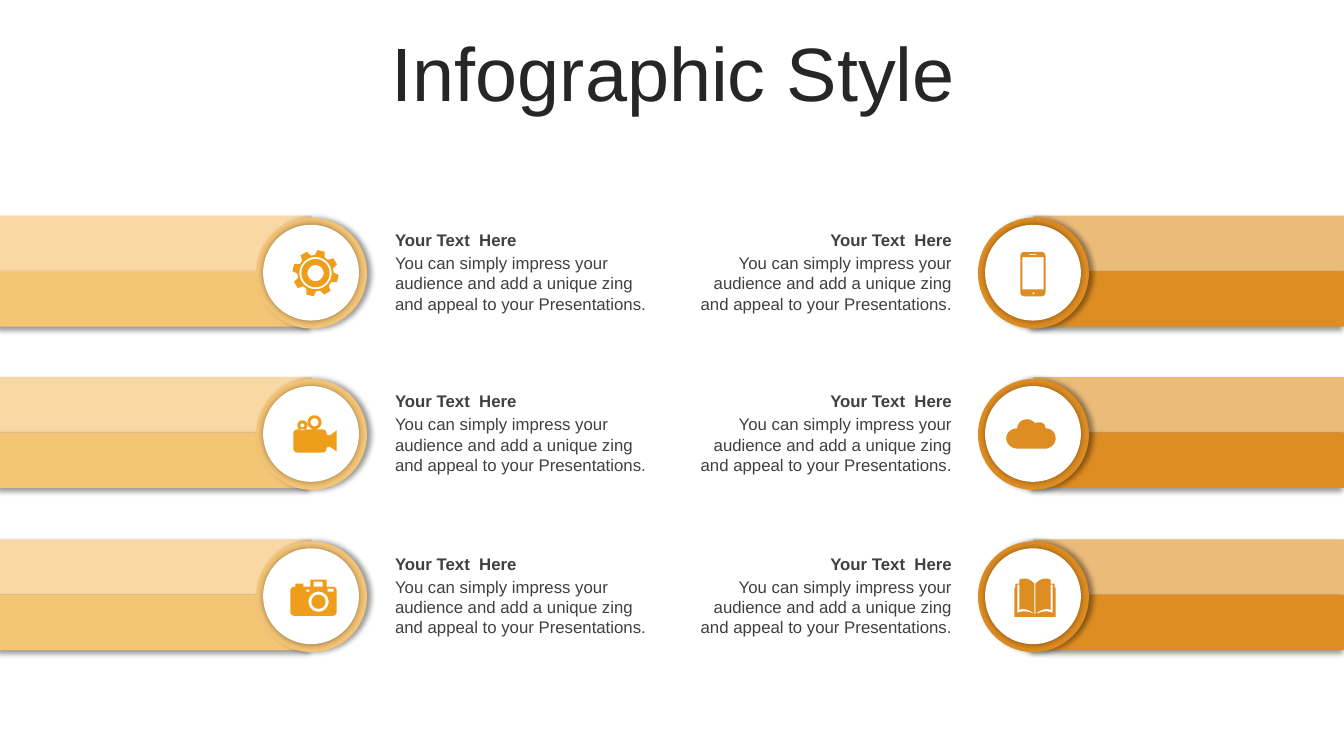
from dataclasses import dataclass
from math import cos, radians, sin

from lxml import etree
from pptx import Presentation
from pptx.dml.color import RGBColor
from pptx.enum.shapes import MSO_SHAPE
from pptx.enum.text import MSO_ANCHOR, MSO_AUTO_SIZE, PP_ALIGN
from pptx.oxml.ns import qn
from pptx.util import Inches, Pt

RECT, OVAL = MSO_SHAPE.RECTANGLE, MSO_SHAPE.OVAL
LEFT, CENTER, RIGHT = PP_ALIGN.LEFT, PP_ALIGN.CENTER, PP_ALIGN.RIGHT
FONT = "Arial"
HEADING = "Your Text  Here"
BODY = "You can simply impress your audience and add a unique zing and appeal to your Presentations."
ROW_TOPS = (2.14, 3.74, 5.35)

Point = tuple[float, float]
Contour = list[Point]


@dataclass
class Shadow:
    blur: float
    dist: float
    angle: int


@dataclass
class Side:
    bar_x: float
    ring_x: float
    text_x: float
    align: PP_ALIGN
    light: str
    dark: str
    icon_color: str
    icons: list[list[Contour]]


BAR_SHADOW = Shadow(4, 3, 135)
RING_SHADOW = Shadow(4, 3, 0)
DISC_SHADOW = Shadow(5, 0, 0)


def rgb(color: str) -> RGBColor:
    return RGBColor.from_string(color)


def polar(cx: float, cy: float, r: float, degrees: float) -> Point:
    return cx + r * cos(radians(degrees)), cy + r * sin(radians(degrees))


def circle(cx: float, cy: float, r: float) -> Contour:
    return [polar(cx, cy, r, a) for a in range(0, 360, 10)]


def box(x: float, y: float, w: float, h: float, r: float = 0) -> Contour:
    corners = ((x + w - r, y + h - r), (x + r, y + h - r), (x + r, y + r), (x + w - r, y + r))
    return [polar(cx, cy, r, 90 * i + a)
            for i, (cx, cy) in enumerate(corners)
            for a in (range(0, 91, 15) if r else (0,))]


def curve(*steps: tuple[float, ...]) -> Contour:
    """Two numbers make a line, six make a cubic curve."""
    pts: Contour = []
    for step in steps:
        if len(step) == 2:
            pts.append(step)
            continue
        x0, y0 = pts[-1]
        x1, y1, x2, y2, x3, y3 = step
        for t in (i / 8 for i in range(1, 9)):
            a, b, c, d = (1 - t) ** 3, 3 * t * (1 - t) ** 2, 3 * t * t * (1 - t), t ** 3
            pts.append((a * x0 + b * x1 + c * x2 + d * x3, a * y0 + b * y1 + c * y2 + d * y3))
    return pts


def gear(cx: float, cy: float) -> list[Contour]:
    teeth = [polar(cx, cy, r, 45 * i - 76 + a)
             for i in range(8)
             for r, a in ((0.18, -16), (0.23, -9), (0.23, 9), (0.18, 16))]
    return [teeth] + [circle(cx, cy, r) for r in (0.16, 0.14, 0.08)]


GEAR = gear(3.13, 2.71)
CAMCORDER = [
    circle(3.12, 4.19, 0.07), circle(3.12, 4.19, 0.04),
    circle(3, 4.22, 0.05), circle(3, 4.22, 0.02),
    box(2.91, 4.26, 0.33, 0.23, 0.04),
    [(3.24, 4.31), (3.27, 4.32), (3.34, 4.27), (3.34, 4.48), (3.27, 4.43), (3.24, 4.44)],
]
CAMERA = [
    box(2.88, 5.82, 0.46, 0.29, 0.04),
    box(3.08, 5.75, 0.16, 0.07), box(3.11, 5.77, 0.09, 0.05),
    box(2.93, 5.79, 0.08, 0.03),
    box(3.04, 5.85, 0.03, 0.02), box(3.25, 5.84, 0.06, 0.03),
    circle(3.16, 5.97, 0.1), circle(3.16, 5.97, 0.07),
]
PHONE = [
    box(10.12, 2.5, 0.25, 0.44, 0.04),
    box(10.14, 2.55, 0.21, 0.32),
    box(10.21, 2.52, 0.07, 0.01),
    circle(10.25, 2.91, 0.01),
]
CLOUD = [curve(
    (10.19, 4.16), (10.22, 4.16, 10.25, 4.18, 10.27, 4.2), (10.28, 4.19, 10.29, 4.19, 10.31, 4.19),
    (10.34, 4.19, 10.37, 4.21, 10.37, 4.25), (10.43, 4.25, 10.47, 4.29, 10.47, 4.35),
    (10.47, 4.4, 10.43, 4.44, 10.38, 4.45), (10.09, 4.45), (10.03, 4.45, 9.98, 4.4, 9.98, 4.35),
    (9.98, 4.29, 10.03, 4.25, 10.09, 4.25), (10.09, 4.2, 10.13, 4.16, 10.19, 4.16),
)]
BOOK = [curve(
    (10.26, 6.09), (10.27, 6.09), (10.34, 6.07, 10.37, 6.05, 10.44, 6.08), (10.44, 5.8),
    (10.42, 5.8), (10.42, 6.05), (10.38, 6.03, 10.32, 6.05, 10.27, 6.09), (10.27, 5.79),
    (10.3, 5.76, 10.33, 5.74, 10.37, 5.74), (10.38, 5.74, 10.4, 5.74, 10.42, 5.75),
    (10.42, 5.79), (10.46, 5.79), (10.46, 5.83), (10.47, 5.83), (10.47, 6.12), (10.06, 6.12),
    (10.06, 5.83), (10.07, 5.83), (10.07, 5.79), (10.11, 5.79), (10.11, 5.75),
    (10.13, 5.74, 10.15, 5.74, 10.17, 5.74), (10.2, 5.74, 10.23, 5.76, 10.26, 5.79),
    (10.26, 6.09), (10.21, 6.05, 10.16, 6.03, 10.11, 6.05), (10.11, 5.8), (10.09, 5.8),
    (10.09, 6.08), (10.16, 6.05, 10.2, 6.07, 10.26, 6.09),
)]

SIDES = (
    Side(0, 2.54, 3.82, LEFT, "F9D8A4", "F5C576", "EF9E1B", [GEAR, CAMCORDER, CAMERA]),
    Side(10.25, 9.7, 6.7, RIGHT, "EBBB7A", "DE8D22", "DE8D22", [PHONE, CLOUD, BOOK]),
)


def paint(shape, color: str) -> None:
    shape.shadow.inherit = False
    shape.fill.solid()
    shape.fill.fore_color.rgb = rgb(color)
    shape.line.fill.background()


def add_shadowed(s, kind: MSO_SHAPE, x: float, y: float, w: float, h: float,
                 color: str, shadow: Shadow) -> None:
    shape = s.shapes.add_shape(kind, Inches(x), Inches(y), Inches(w), Inches(h))
    paint(shape, color)
    effects = shape._element.spPr.find(qn("a:effectLst"))
    outer = etree.SubElement(effects, qn("a:outerShdw"), blurRad=str(Pt(shadow.blur)),
                             dist=str(Pt(shadow.dist)), dir=str(shadow.angle * 60000),
                             algn="ctr", rotWithShape="0")
    black = etree.SubElement(outer, qn("a:srgbClr"), val="000000")
    etree.SubElement(black, qn("a:alpha"), val="40000")


def add_icon(s, contours: list[Contour], color: str) -> None:
    outlines = [[(Inches(x), Inches(y)) for x, y in contour] for contour in contours]
    builder = s.shapes.build_freeform(*outlines[0][0])
    for i, outline in enumerate(outlines):
        if i:
            builder.move_to(*outline[0])
        builder.add_line_segments(outline[1:], close=True)
    paint(builder.convert_to_shape(), color)


def set_text(tf, text: str, size: int, color: str, align: PP_ALIGN, bold: bool = False) -> None:
    tf.word_wrap = True
    p = tf.paragraphs[0]
    p.text = text
    p.alignment = align
    p.font.name, p.font.size, p.font.bold = FONT, Pt(size), bold
    p.font.color.rgb = rgb(color)


def add_text(s, x: float, y: float, h: float, text: str, align: PP_ALIGN, bold: bool = False) -> None:
    tf = s.shapes.add_textbox(Inches(x), Inches(y), Inches(2.84), Inches(h)).text_frame
    set_text(tf, text, 12, "404040", align, bold)
    tf.auto_size = MSO_AUTO_SIZE.SHAPE_TO_FIT_TEXT


def add_row(s, side: Side, top: float, icon: list[Contour]) -> None:
    for y, color in ((top, side.light), (top + 0.55, side.dark)):
        add_shadowed(s, RECT, side.bar_x, y, 3.09, 0.55, color, BAR_SHADOW)
    add_shadowed(s, OVAL, side.ring_x, top + 0.02, 1.1, 1.1, side.dark, RING_SHADOW)
    add_shadowed(s, OVAL, side.ring_x + 0.07, top + 0.09, 0.95, 0.95, "FFFFFF", DISC_SHADOW)
    add_icon(s, icon, side.icon_color)
    add_text(s, side.text_x, top + 0.32, 0.71, BODY, side.align)
    add_text(s, side.text_x, top + 0.09, 0.3, HEADING, side.align, bold=True)


def main() -> None:
    prs = Presentation()
    prs.slide_width, prs.slide_height = Inches(13.33), Inches(7.5)
    s = prs.slides.add_slide(prs.slide_layouts[5])
    title = s.shapes.title
    title.left, title.top, title.width, title.height = map(Inches, (0.35, 0.37, 12.66, 0.79))
    tf = title.text_frame
    set_text(tf, "Infographic Style", 54, "262626", CENTER)
    tf.vertical_anchor = MSO_ANCHOR.MIDDLE
    tf.auto_size = MSO_AUTO_SIZE.NONE
    tf.paragraphs[0].line_spacing = 0.9
    for side in SIDES:
        for top, icon in zip(ROW_TOPS, side.icons):
            add_row(s, side, top, icon)
    prs.save("out.pptx")


if __name__ == "__main__":
    main()
